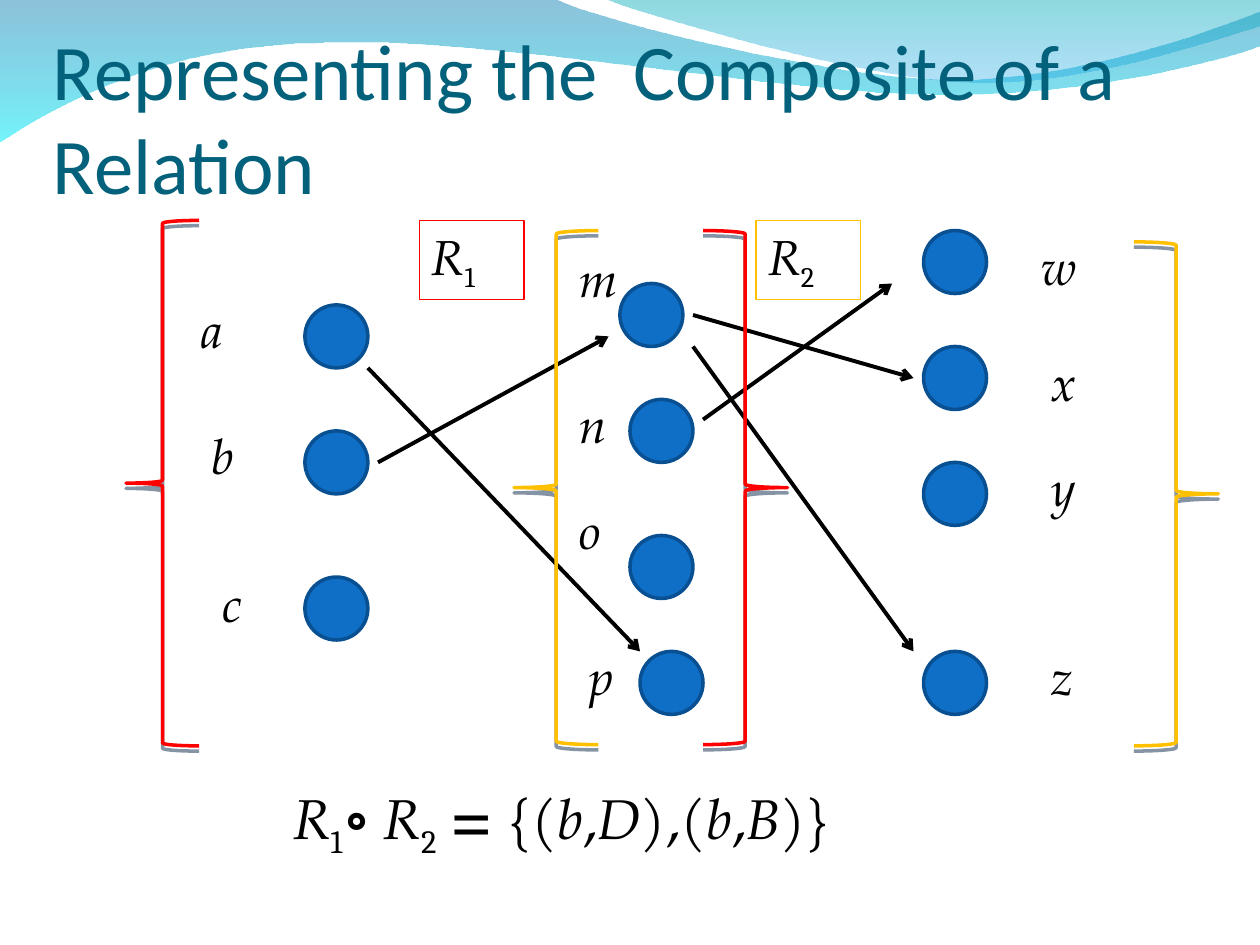
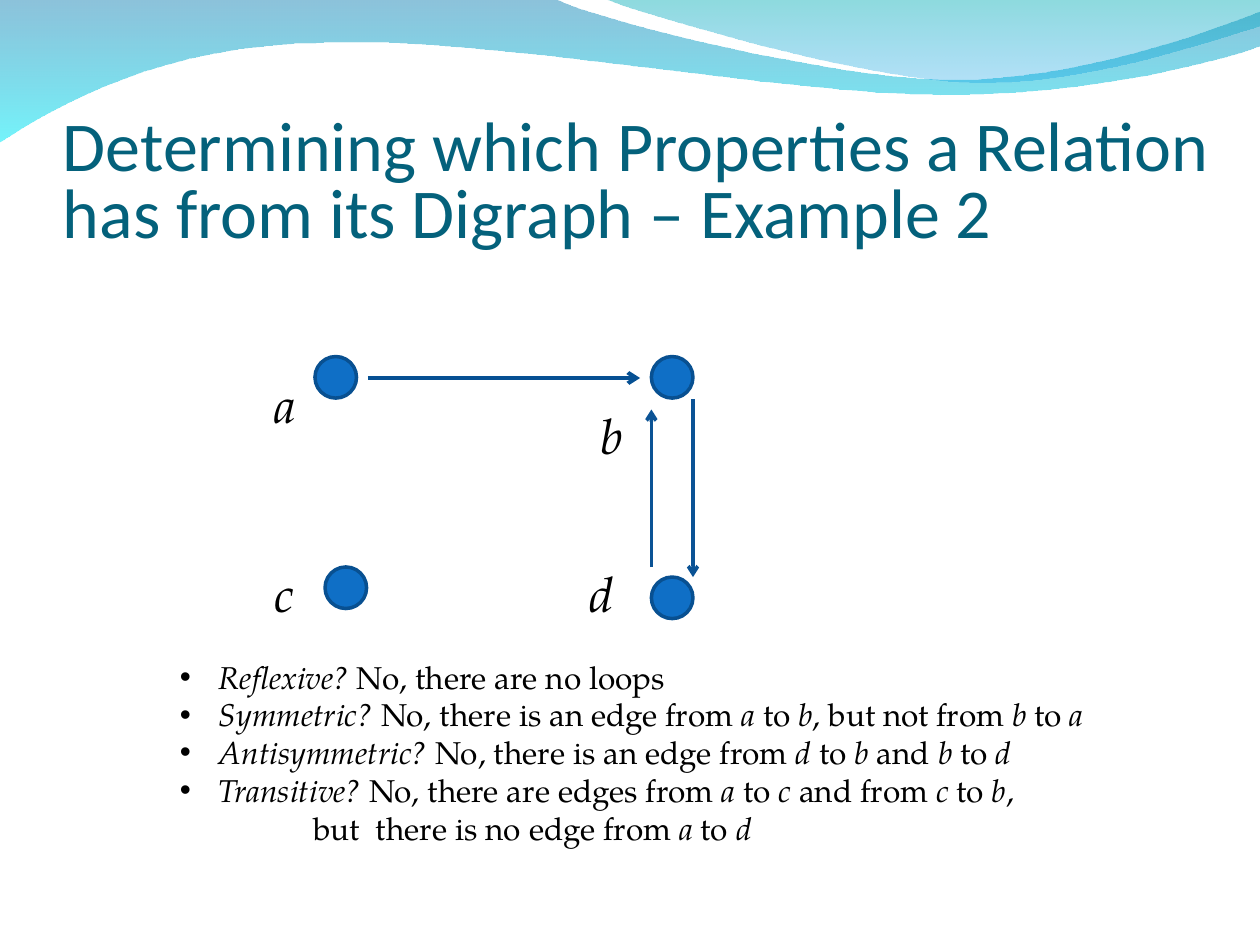
from pptx import Presentation
from pptx.dml.color import RGBColor
from pptx.enum.shapes import MSO_CONNECTOR, MSO_SHAPE
from pptx.enum.text import MSO_ANCHOR
from pptx.oxml.ns import qn
from pptx.util import Inches, Pt
from lxml import etree

OVAL = MSO_SHAPE.OVAL
LEFT = MSO_SHAPE.LEFT_BRACE
RIGHT = MSO_SHAPE.RIGHT_BRACE
LINE = MSO_CONNECTOR.STRAIGHT
TOP, BOTTOM = MSO_ANCHOR.TOP, MSO_ANCHOR.BOTTOM

TEAL = RGBColor(0x04, 0x61, 0x7B)
BLUE = RGBColor(0x0F, 0x6F, 0xC6)
EDGE = RGBColor(0x08, 0x50, 0x91)
NAVY = RGBColor(0x06, 0x50, 0x93)
DEEP = RGBColor(0x0B, 0x53, 0x95)
BLACK = RGBColor(0, 0, 0)
RED = RGBColor(0xFF, 0, 0)
GOLD = RGBColor(0xFF, 0xC0, 0)
SHADE = RGBColor(0x00, 0x20, 0x41)
SERIF, MATH, SANS = "TeX Gyre Pagella", "Cambria", "Calibri"

# Waves: start, segments (line or cubic curve), gradient stops with opacity
WAVES = [
    ((0, -0.01),
     [(4.4, -0.01),
      (4.76, 0.17, 6.64, 0.63, 7.58, 0.63),
      (8.53, 0.63, 9.58, 0.26, 10, 0.09),
      (10.01, 0.36),
      (9.83, 0.44, 8.7, 0.76, 7.46, 0.75),
      (6.22, 0.75, 3.82, 0.28, 2.57, 0.34),
      (1.29, 0.35, 0.46, 0.83, -0.01, 1.13)],
     [(RGBColor(0, 0x79, 0xAF), 45), (RGBColor(0, 0xEB, 0xF8), 55)]),
    ((4.79, -0.01),
     [(5.09, 0.11, 6.82, 0.62, 7.69, 0.65),
      (8.56, 0.69, 9.61, 0.32, 10, 0.21),
      (10, 0)],
     [(RGBColor(0, 0xAD, 0xB6), 45), (RGBColor(0, 0x9B, 0xE5), 30)]),
]
STEPS = 16


def add_box(slide, x, y, w, h):
    box = slide.shapes.add_textbox(Inches(x), Inches(y), Inches(w), Inches(h))
    box.text_frame.word_wrap = True
    box.text_frame.vertical_anchor = TOP
    return box


def add_runs(para, runs, size, face=SERIF, color=BLACK):
    """Style letters: i italic, b bold, c Cambria, s subscript."""
    for words, style in runs:
        run = para.add_run()
        run.text = words
        font = run.font
        font.size = Pt(size)
        font.name = MATH if "c" in style else face
        font.color.rgb = color
        font.italic = "i" in style
        font.bold = "b" in style
        if "s" in style:
            run._r.get_or_add_rPr().set("baseline", "-25000")


deck = Presentation()
deck.slide_width, deck.slide_height = Inches(10), Inches(7.5)
blank = deck.slide_layouts[6]

# Waves and title on each slide
TITLES = [
    ("Representing the  Composite of a Relation", (0.42, 0.42, 9, 1.25), 45, 1.0),
    ("Determining which Properties a Relation has from its Digraph – Example 2",
     (0.5, 0.75, 9.5, 1.25), 40, 0.8),
]
for title, place, size, space in TITLES:
    slide = deck.slides.add_slide(blank)
    for start, parts, stops in WAVES:
        dots, last = [], start
        for part in parts:
            if len(part) == 2:
                dots.append(part)
            else:
                ends = [last, part[:2], part[2:4], part[4:]]
                for step in range(1, STEPS + 1):
                    t = step / STEPS
                    mix = ((1 - t) ** 3, 3 * t * (1 - t) ** 2, 3 * t * t * (1 - t), t ** 3)
                    dots.append([sum(m * e[axis] for m, e in zip(mix, ends)) for axis in (0, 1)])
            last = part[-2:]
        pen = slide.shapes.build_freeform(Inches(start[0]), Inches(start[1]))
        pen.add_line_segments([(Inches(x), Inches(y)) for x, y in dots], close=True)
        wave = pen.convert_to_shape()
        wave.line.fill.background()
        wave.fill.gradient()
        wave.fill.gradient_angle = 270
        for stop, (color, _) in zip(wave.fill.gradient_stops, stops):
            stop.color.rgb = color
        for node, (_, alpha) in zip(wave._element.spPr.iter(qn("a:srgbClr")), stops):
            etree.SubElement(node, qn("a:alpha")).set("val", str(alpha * 1000))
        wave.shadow.inherit = False

    frame = add_box(slide, *place).text_frame
    frame.vertical_anchor = BOTTOM
    frame.margin_left = frame.margin_right = frame.margin_bottom = 0
    frame.paragraphs[0].line_spacing = space
    add_runs(frame.paragraphs[0], [(title, "")], size, SANS, TEAL)

first, second = deck.slides

# Graph nodes: slide, diameter, top left corners
NODES = [
    (first, 0.5, [(2.42, 2.42), (2.42, 3.42), (2.42, 4.58),
                  (4.92, 2.25), (5, 3.17), (5, 4.25), (5.08, 5.17),
                  (7.33, 1.83), (7.33, 2.75), (7.33, 3.67), (7.33, 5.17)]),
    (second, 0.33, [(2.5, 2.83), (5.17, 2.83), (2.58, 4.5), (5.17, 4.58)]),
]
for slide, size, spots in NODES:
    for x, y in spots:
        node = slide.shapes.add_shape(OVAL, Inches(x), Inches(y), Inches(size), Inches(size))
        node.fill.solid()
        node.fill.fore_color.rgb = BLUE
        node.line.color.rgb = EDGE
        node.line.width = Pt(2)
        node.shadow.inherit = False

# Node names
NAMES = [
    (first, [("a", 1.5, 2.33), ("b", 1.58, 3.33), ("c", 1.67, 4.5),
             ("m", 4.5, 1.92), ("n", 4.5, 3.08), ("o", 4.5, 3.92), ("p", 4.58, 5.08),
             ("w", 8.17, 1.83), ("x", 8.25, 2.75), ("y", 8.25, 3.58), ("z", 8.25, 5.08)]),
    (second, [("a", 2.08, 2.92), ("b", 4.67, 3.17), ("c", 2.08, 4.42), ("d", 4.58, 4.42)]),
]
for slide, names in NAMES:
    for name, x, y in names:
        box = add_box(slide, x, y, 0.42, 0.57)
        add_runs(box.text_frame.paragraphs[0], [(name, "i")], 28)

# Arrows between nodes
ARROWS = [
    (first, BLACK, 2.25, [(3, 3.67, 4.83, 2.67), (2.92, 2.92, 5.08, 5.17),
                          (5.58, 3.33, 7.08, 2.25), (5.5, 2.5, 7.25, 3),
                          (5.5, 2.75, 7.25, 5.17)]),
    (second, NAVY, 2.25, [(2.92, 3, 5.08, 3)]),
    (second, DEEP, 2, [(5.17, 4.5, 5.17, 3.25), (5.5, 3.17, 5.5, 4.58)]),
]
for slide, color, width, paths in ARROWS:
    for ends in paths:
        arrow = slide.shapes.add_connector(LINE, *[Inches(e) for e in ends])
        arrow.line.color.rgb = color
        arrow.line.width = Pt(width)
        etree.SubElement(arrow.line._get_or_add_ln(), qn("a:tailEnd")).set("type", "arrow")
        etree.SubElement(arrow._element.spPr, qn("a:effectLst"))

# Relation tags
for digit, x, color in [("1", 3.33, RED), ("2", 6, GOLD)]:
    tag = add_box(first, x, 1.75, 0.83, 0.63)
    tag.line.color.rgb = color
    tag.line.width = Pt(0.75)
    add_runs(tag.text_frame.paragraphs[0], [("R", "i"), (digit, "cs")], 28)

# Braces around each relation, with a hard shadow below
BRACES = [
    (RIGHT, RED, 5.58, 1.83, 0.67, 4.08),
    (LEFT, RED, 1, 1.75, 0.58, 4.17),
    (RIGHT, GOLD, 9, 1.92, 0.67, 4),
    (LEFT, GOLD, 4.08, 1.83, 0.67, 4.08),
]
for kind, color, *place in BRACES:
    brace = first.shapes.add_shape(kind, *[Inches(p) for p in place])
    brace.adjustments[0] = 0.04
    brace.fill.background()
    brace.line.color.rgb = color
    brace.line.width = Pt(2)
    brace.shadow.inherit = False
    effect = brace._element.spPr.find(qn("a:effectLst"))
    shade = etree.SubElement(effect, qn("a:outerShdw"), blurRad="0", dist=str(Pt(3)),
                             dir="5400000", rotWithShape="0")
    tint = etree.SubElement(shade, qn("a:srgbClr"), val=str(SHADE))
    etree.SubElement(tint, qn("a:alpha"), val="48000")

# Composite formula
box = add_box(first, 2.23, 6.17, 5.17, 0.71)
add_runs(box.text_frame.paragraphs[0], [
    ("R", "i"), ("1", "cs"), ("∘ ", "cb"), ("R", "i"), ("2", "cs"), (" = ", "b"),
    ("{(", ""), ("b", "i"), (",", ""), ("D", "i"), ("),(", ""),
    ("b", "i"), (",", ""), ("B", "i"), (")}", "")], 32)

# Properties list: stars enclose italic words
FACTS = [
    "*Reflexive?* No, there are no loops",
    "*Symmetric?* No, there is an edge from *a* to *b*, but not from *b* to *a*",
    "*Antisymmetric?* No, there is an edge from *d* to *b* and *b* to *d*",
    "*Transitive?* No, there are edges from *a* to *c* and from *c* to *b*,",
    "but  there is no edge from *a* to *d*",
]
frame = add_box(second, 1.33, 5.17, 8, 1.6).text_frame
for i, fact in enumerate(FACTS):
    para = frame.paragraphs[0] if i == 0 else frame.add_paragraph()
    props = para._p.get_or_add_pPr()
    if fact.startswith("*"):
        props.set("marL", str(Inches(0.31)))
        props.set("indent", str(Inches(-0.31)))
        tint = etree.SubElement(props, qn("a:buClr"))
        etree.SubElement(tint, qn("a:srgbClr"), val=str(BLACK))
        etree.SubElement(props, qn("a:buFont"), typeface="Arial")
        etree.SubElement(props, qn("a:buChar"), char="•")
    else:
        props.set("marL", str(Inches(1.06)))
    bits = fact.split("*")
    add_runs(para, [(bit, "i" if n % 2 else "") for n, bit in enumerate(bits) if bit], 18)

deck.save("out.pptx")
